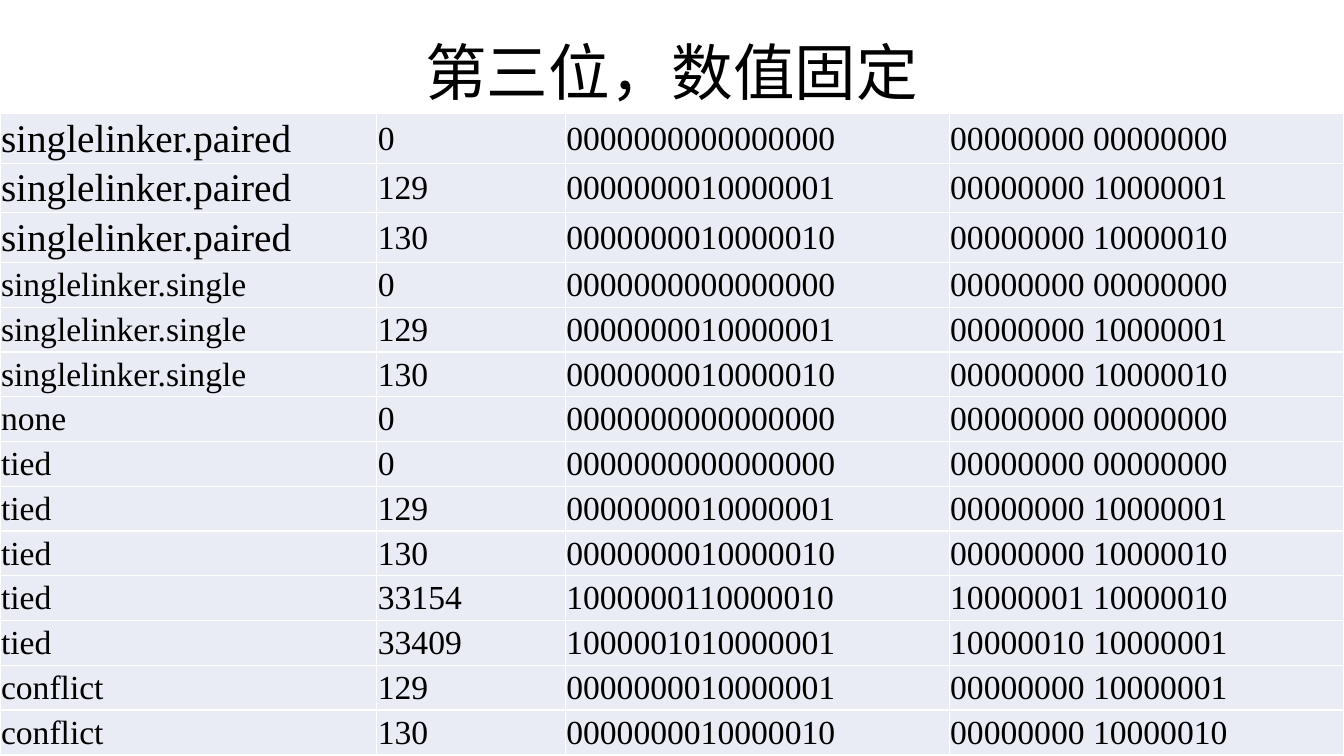
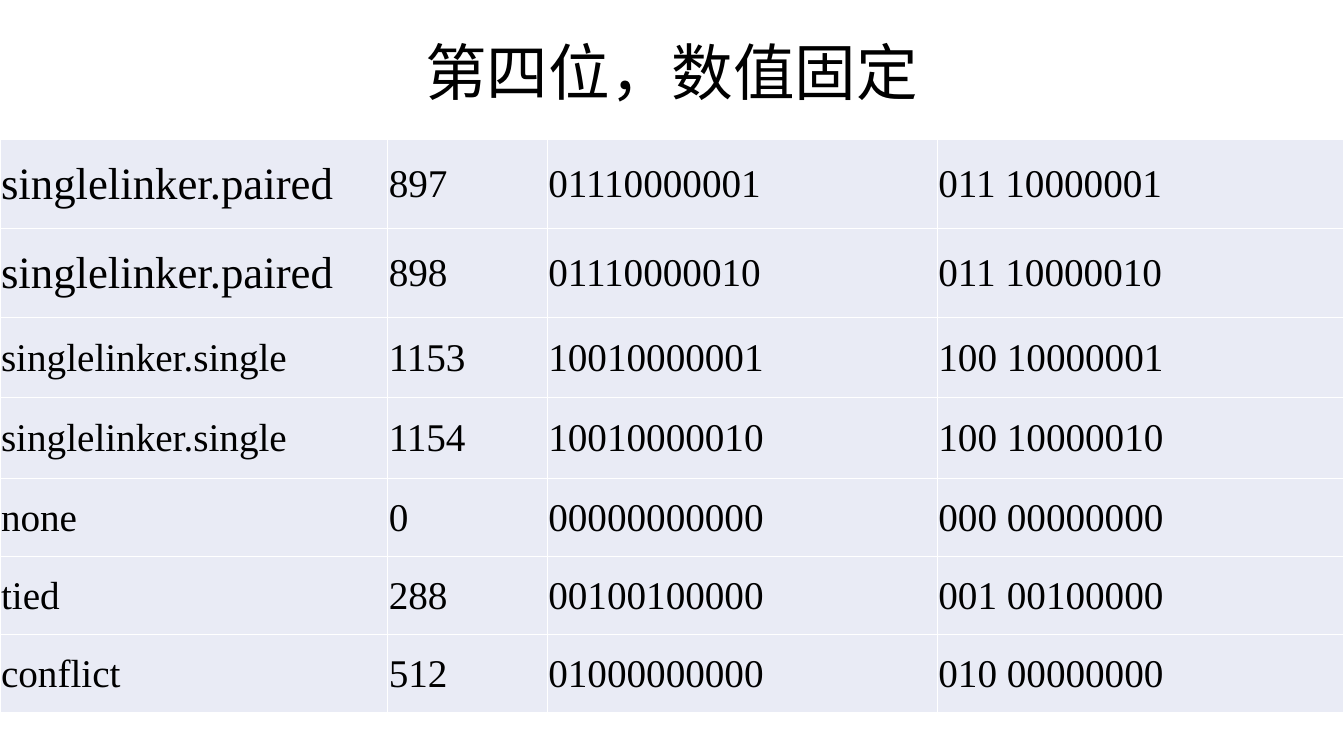
from dataclasses import dataclass

from lxml import etree
from pptx import Presentation
from pptx.dml.color import RGBColor
from pptx.enum.text import MSO_ANCHOR, MSO_AUTO_SIZE, PP_ALIGN
from pptx.oxml.ns import qn
from pptx.slide import Slide
from pptx.table import _Cell
from pptx.text.text import _Paragraph
from pptx.util import Pt

MIDDLE = MSO_ANCHOR.MIDDLE
CENTER = PP_ALIGN.CENTER
LEFT = PP_ALIGN.LEFT
GROW = MSO_AUTO_SIZE.SHAPE_TO_FIT_TEXT

COLORS = {"text": "000000", "cell": "E9EBF5", "border": "FFFFFF"}
FONT = "Times New Roman"
SLIDE_WIDTH, SLIDE_HEIGHT = 960, 540
TITLE_BOX = (201, 21, 558, 60.5)
TITLE_SIZE = 44
CELL_INSET = 0.75
BORDER_WIDTH = 1
LOW_BITS = 8
BORDER_SIDES = ("a:lnL", "a:lnR", "a:lnT", "a:lnB")


@dataclass(frozen=True)
class FlagGroup:
    category: str
    values: tuple[int, ...]
    row_height: float
    category_size: int


@dataclass(frozen=True)
class FlagSlide:
    title: str
    table_top: float
    column_widths: tuple[float, ...]
    bit_count: int
    value_size: int
    groups: tuple[FlagGroup, ...]


FLAG_SLIDES = (
    FlagSlide(
        "第三位，数值固定", 81.3, (269.2, 134.6, 274.2, 282), 16, 24,
        (
            FlagGroup("singlelinker.paired", (0, 129, 130), 35.4, 28),
            FlagGroup("singlelinker.single", (0, 129, 130), 32, 24),
            FlagGroup("none", (0,), 32, 24),
            FlagGroup("tied", (0, 129, 130, 33154, 33409), 32, 24),
            FlagGroup("conflict", (129, 130), 32, 24),
        ),
    ),
    FlagSlide(
        "第四位，数值固定", 99.6, (277, 114, 278.6, 290.4), 11, 28,
        (
            FlagGroup("singlelinker.paired", (897, 898), 63.5, 32),
            FlagGroup("singlelinker.single", (1153, 1154), 57.5, 28),
            FlagGroup("none", (0,), 55.8, 28),
            FlagGroup("tied", (288,), 55.8, 28),
            FlagGroup("conflict", (512,), 55.8, 28),
        ),
    ),
)


def write(paragraph: _Paragraph, text: str, size: float, alignment: PP_ALIGN) -> None:
    paragraph.text = text
    paragraph.alignment = alignment
    paragraph.font.name = FONT
    paragraph.font.size = Pt(size)
    paragraph.font.color.rgb = RGBColor.from_string(COLORS["text"])


def add_title(slide: Slide, title: str) -> None:
    frame = slide.shapes.add_textbox(*map(Pt, TITLE_BOX)).text_frame
    frame.word_wrap = True
    frame.auto_size = GROW
    write(frame.paragraphs[0], title, TITLE_SIZE, CENTER)


def set_borders(cell: _Cell) -> None:
    properties = cell._tc.get_or_add_tcPr()
    for position, side in enumerate(BORDER_SIDES):
        line = etree.Element(qn(side), w=str(Pt(BORDER_WIDTH)))
        fill = etree.SubElement(line, qn("a:solidFill"))
        etree.SubElement(fill, qn("a:srgbClr"), val=COLORS["border"])
        properties.insert(position, line)


def fill_cell(cell: _Cell, text: str, size: float) -> None:
    cell.margin_left = cell.margin_top = cell.margin_right = Pt(CELL_INSET)
    cell.margin_bottom = Pt(0)
    cell.vertical_anchor = MIDDLE
    cell.fill.solid()
    cell.fill.fore_color.rgb = RGBColor.from_string(COLORS["cell"])
    set_borders(cell)
    write(cell.text_frame.paragraphs[0], text, size, LEFT)


def add_flag_table(slide: Slide, content: FlagSlide) -> None:
    entries = [(group, value) for group in content.groups for value in group.values]
    total_height = sum(group.row_height for group, _ in entries)
    table = slide.shapes.add_table(
        len(entries), len(content.column_widths),
        Pt(0), Pt(content.table_top), Pt(SLIDE_WIDTH), Pt(total_height),
    ).table
    table.first_row = False
    table.horz_banding = False
    for column, width in zip(table.columns, content.column_widths):
        column.width = Pt(width)
    for row, (group, value) in zip(table.rows, entries):
        row.height = Pt(group.row_height)
        bits = f"{value:0{content.bit_count}b}"
        split_bits = f"{bits[:-LOW_BITS]} {bits[-LOW_BITS:]}"
        category_cell, *value_cells = row.cells
        fill_cell(category_cell, group.category, group.category_size)
        for cell, text in zip(value_cells, (str(value), bits, split_bits)):
            fill_cell(cell, text, content.value_size)


def main() -> None:
    presentation = Presentation()
    presentation.slide_width = Pt(SLIDE_WIDTH)
    presentation.slide_height = Pt(SLIDE_HEIGHT)
    blank_layout = presentation.slide_layouts[6]
    for content in FLAG_SLIDES:
        slide = presentation.slides.add_slide(blank_layout)
        add_title(slide, content.title)
        add_flag_table(slide, content)
    presentation.save("out.pptx")


if __name__ == "__main__":
    main()
